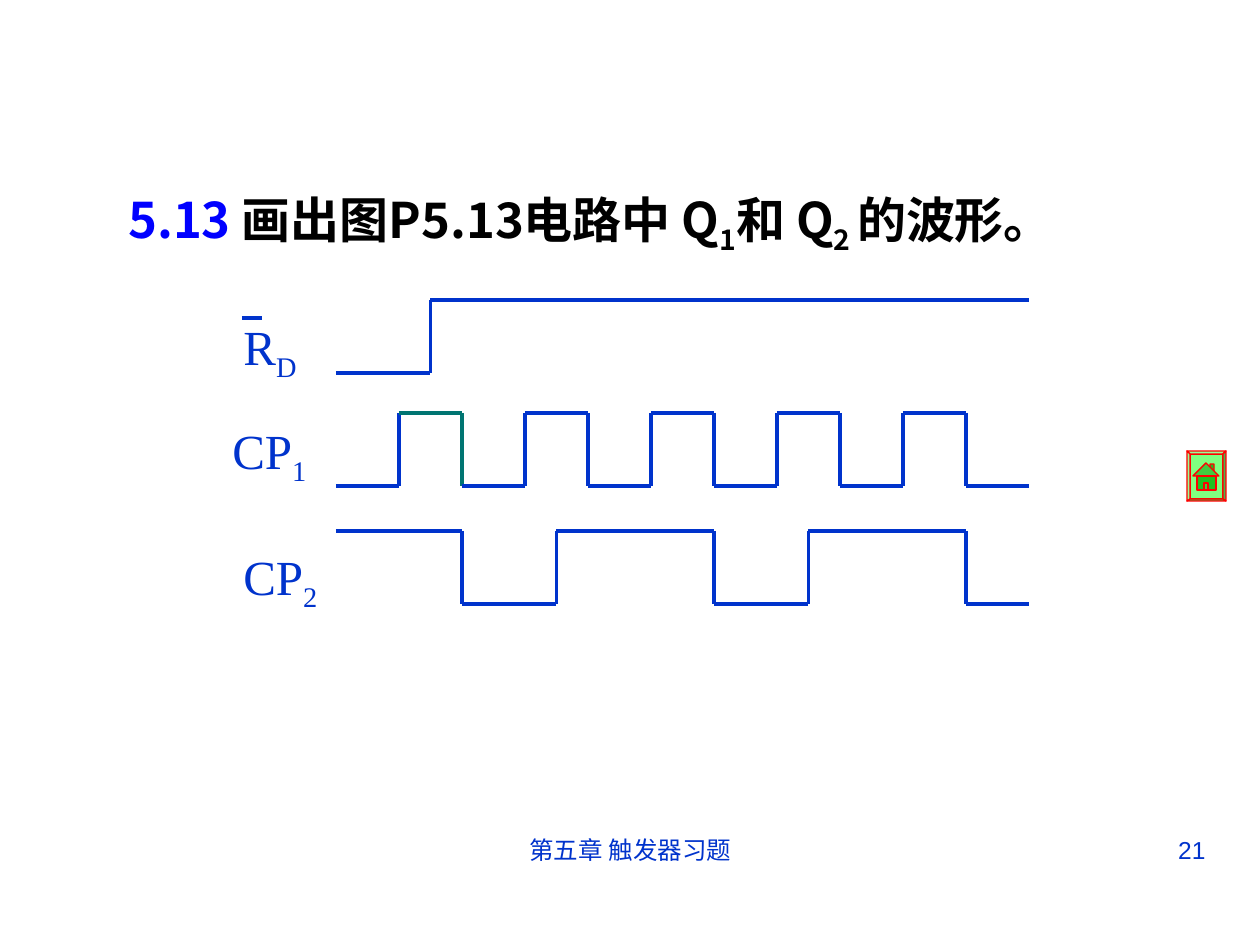
from dataclasses import dataclass

from lxml import etree
from pptx import Presentation
from pptx import util as u
from pptx.dml.color import RGBColor
from pptx.enum import shapes, text
from pptx.oxml.ns import qn

PX = 914400 / 126  # EMU in one px


@dataclass(frozen=True)
class Theme:
    ink: str = "0033CC"
    accent: str = "007572"
    number: str = "0000FF"
    title: str = "000000"
    outline: str = "FF0000"
    face: str = "80FF80"
    light: str = "99FF99"
    dark: str = "4DB34D"
    roof: str = "40CC40"
    wall: str = "20C020"
    cjk: str = "Noto Sans CJK SC"
    serif: str = "Times New Roman"
    sans: str = "Arial"
    large: int = 28
    small: int = 14
    wave_pt: float = 2.25
    button_pt: float = 0.75


T = Theme()
ALIGN = text.PP_ALIGN
SUB = True

# Runs: (words, colour, subscript)
TITLE = [
    ("5.13 ", T.number, False),
    ("画出图P5.13电路中 Q", T.title, False),
    ("1", T.title, SUB),
    ("和 Q", T.title, False),
    ("2 ", T.title, SUB),
    ("的波形。", T.title, False),
]
HEADING = dict(size=T.large, name=T.cjk, bold=True)
SIGNAL = dict(size=T.large, name=T.serif, bold=False)
FOOTER = dict(size=T.small, name=T.sans, bold=False)


def label(name, index):
    return [(name, T.ink, False), (index, T.ink, SUB)]


# (box, runs, font, alignment, line spacing, hanging indent, grows)
TEXTS = [
    ((116, 163, 1040, 100), TITLE, HEADING, ALIGN.LEFT, 1.3, 106, True),
    ((231, 310, 86, 79), label("R", "D"), SIGNAL, ALIGN.LEFT, 1, 0, True),
    ((220, 394, 126, 100), label("CP", "1"), SIGNAL, ALIGN.LEFT, 1.3, 0, True),
    ((231, 520, 126, 100), label("CP", "2"), SIGNAL, ALIGN.LEFT, 1.3, 0, True),
    ((431, 829, 399, 66), [("第五章 触发器习题", T.ink, False)], FOOTER,
     ALIGN.CENTER, 1, 0, False),
    ((903, 829, 315, 66), [("21", T.ink, False)], FOOTER,
     ALIGN.RIGHT, 1, 0, False),
]

# Time axis in ticks; toggles are the ticks where the level changes
WAVE_LEFT, TICK, LAST_TICK, SWING = 336, 63, 11, 73
WAVES = [
    dict(high_y=300, starts_high=False, toggles=[1.5], accents=()),
    dict(high_y=413, starts_high=False, toggles=range(1, 11), accents=(2, 3)),
    dict(high_y=531, starts_high=True, toggles=[2, 3.5, 6, 7.5, 10], accents=()),
]
OVERBAR = ((242, 318), (262, 318))

# Home button: corners of the outer and inner frame, then the house
OUTER = [(1187, 451), (1226, 451), (1226, 501), (1187, 501)]
INNER = [(1190, 454), (1223, 454), (1223, 499), (1190, 499)]
BEVELS = [T.light, T.dark, T.dark, T.light]  # top, right, bottom, left
HOUSE = [
    ([(1210, 468), (1210, 464), (1214, 464), (1214, 472)], T.wall),
    ([(1206, 463), (1193, 476), (1219, 476)], T.roof),
    ([(1197, 476), (1216, 476), (1216, 490), (1197, 490)], T.wall),
    ([(1204, 483), (1208, 483), (1208, 490), (1204, 490)], T.roof),
]


def emu(*lengths):
    return [round(n * PX) for n in lengths]


def add_text(slide, box, runs, font, align, spacing, hanging, grows):
    frame = slide.shapes.add_textbox(*emu(*box)).text_frame
    frame.word_wrap = True
    if grows:
        frame.auto_size = text.MSO_AUTO_SIZE.SHAPE_TO_FIT_TEXT
    paragraph = frame.paragraphs[0]
    paragraph.alignment = align
    paragraph.line_spacing = spacing
    if hanging:
        indent, = emu(hanging)
        props = paragraph._p.get_or_add_pPr()
        props.set("marL", str(indent))
        props.set("indent", str(-indent))
    for words, colour, subscript in runs:
        run = paragraph.add_run()
        run.text = words
        for key, value in {**font, "size": u.Pt(font["size"])}.items():
            setattr(run.font, key, value)
        run.font.color.rgb = RGBColor.from_string(colour)
        props = run._r.get_or_add_rPr()
        etree.SubElement(props, qn("a:ea")).set("typeface", T.cjk)
        if subscript:
            props.set("baseline", "-25000")


def add_line(slide, start, end, colour=T.ink):
    line = slide.shapes.add_connector(
        shapes.MSO_CONNECTOR.STRAIGHT, *emu(*start, *end))
    line.line.color.rgb = RGBColor.from_string(colour)
    line.line.width = u.Pt(T.wave_pt)
    etree.SubElement(line._element.spPr, qn("a:effectLst"))


def add_wave(slide, high_y, starts_high, toggles, accents):
    """Draw levels and edges in time order; accents are segment indexes."""
    levels = high_y, high_y + SWING
    level = 0 if starts_high else 1
    points = [(WAVE_LEFT, levels[level])]
    for tick in toggles:
        x = WAVE_LEFT + TICK * tick
        points += [(x, levels[level]), (x, levels[1 - level])]
        level = 1 - level
    points.append((WAVE_LEFT + TICK * LAST_TICK, levels[level]))
    for i, (start, end) in enumerate(zip(points, points[1:])):
        add_line(slide, start, end, T.accent if i in accents else T.ink)


def add_polygon(slide, points, colour):
    builder = slide.shapes.build_freeform(*points[0], scale=PX)
    builder.add_line_segments(points[1:], close=True)
    polygon = builder.convert_to_shape()
    polygon.shadow.inherit = False
    polygon.fill.solid()
    polygon.fill.fore_color.rgb = RGBColor.from_string(colour)
    polygon.line.color.rgb = RGBColor.from_string(T.outline)
    polygon.line.width = u.Pt(T.button_pt)


def add_home_button(slide):
    add_polygon(slide, INNER, T.face)
    for i, colour in enumerate(BEVELS):
        j = (i + 1) % len(BEVELS)
        add_polygon(slide, [OUTER[i], OUTER[j], INNER[j], INNER[i]], colour)
    for points, colour in HOUSE:
        add_polygon(slide, points, colour)


def main():
    deck = Presentation()
    deck.slide_width, deck.slide_height = emu(1260, 945)
    slide = deck.slides.add_slide(deck.slide_layouts[6])
    for wave in WAVES:
        add_wave(slide, **wave)
    add_line(slide, *OVERBAR)
    add_home_button(slide)
    for entry in TEXTS:
        add_text(slide, *entry)
    deck.save("out.pptx")


if __name__ == "__main__":
    main()
